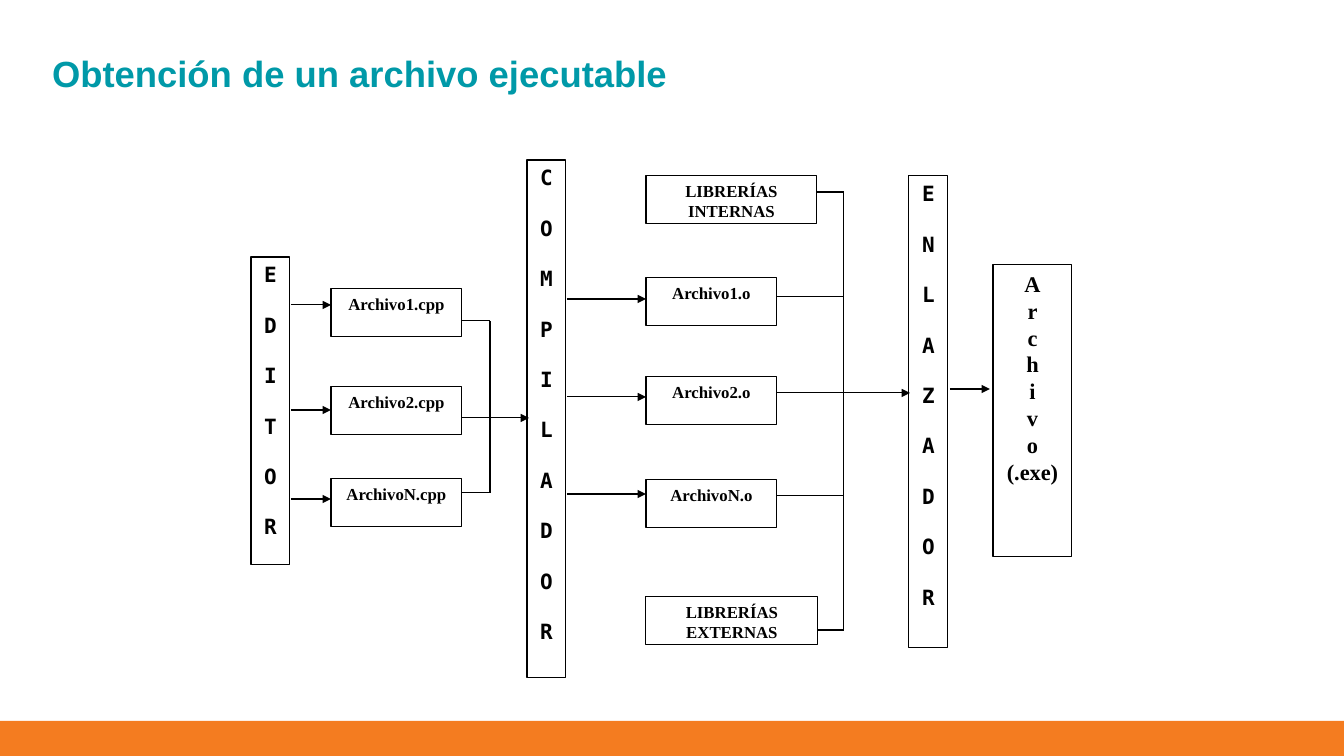
from pptx import Presentation
from pptx.dml.color import RGBColor
from pptx.enum.shapes import MSO_CONNECTOR, MSO_SHAPE
from pptx.enum.text import MSO_ANCHOR, PP_ALIGN
from pptx.oxml.ns import qn
from pptx.util import Emu, Pt
from lxml import etree

PX = 914400 / 100.8
RECT, STRAIGHT = MSO_SHAPE.RECTANGLE, MSO_CONNECTOR.STRAIGHT
CENTER, LEFT = PP_ALIGN.CENTER, PP_ALIGN.LEFT
TOP, MIDDLE = MSO_ANCHOR.TOP, MSO_ANCHOR.MIDDLE
TITLE_ONLY = 5

COLORS = {"ink": "000000", "paper": "FFFFFF", "title": "0099A8", "band": "F47C20"}
FONTS = {
    "title": {"name": "Arial", "size": Pt(26), "bold": True},
    "stage": {"name": "DejaVu Sans Mono", "size": Pt(15), "bold": True},
    "file": {"name": "Times New Roman", "size": Pt(12), "bold": True},
    "result": {"name": "Times New Roman", "size": Pt(16), "bold": True},
}
LINE_WIDTH = Pt(0.75)
LETTER_GAP = Pt(18)

# label, box width, box top, incoming arrow y, outgoing line y
SOURCES = [
    ("Archivo1.cpp", 131, 0, 16, 32),
    ("Archivo2.cpp", 131, 98, 121, 129),
    ("ArchivoN.cpp", 131, 190, 210, 204),
]
OBJECTS = [
    ("LIBRERÍAS INTERNAS", 171, 0, None, 16),
    ("Archivo1.o", 131, 102, 123, 121),
    ("Archivo2.o", 131, 201, 221, 217),
    ("ArchivoN.o", 131, 304, 318, 320),
    ("LIBRERÍAS EXTERNAS", 172, 421, None, 454),
]


def px(n):
    return Emu(round(n * PX))


def rgb(name):
    return RGBColor.from_string(COLORS[name])


def format_font(font, style, color):
    for key, value in FONTS[style].items():
        setattr(font, key, value)
    font.color.rgb = rgb(color)


def add_rect(s, box, fill):
    sp = s.shapes.add_shape(RECT, *map(px, box))
    sp.shadow.inherit = False
    sp.fill.solid()
    sp.fill.fore_color.rgb = rgb(fill)
    sp.line.fill.background()
    return sp


def add_box(s, box, lines, style, gap=0):
    """Outlined box with one centred paragraph per line."""
    sp = add_rect(s, box, "paper")
    sp.line.color.rgb = rgb("ink")
    sp.line.width = LINE_WIDTH
    tf = sp.text_frame
    tf.word_wrap = True
    tf.vertical_anchor = TOP
    for i, line in enumerate(lines):
        p = tf.paragraphs[0] if i == 0 else tf.add_paragraph()
        p.alignment = CENTER
        if i and gap:
            p.space_before = gap
        r = p.add_run()
        r.text = line
        format_font(r.font, style, "ink")


def add_line(s, x1, y1, x2, y2, arrow=False):
    c = s.shapes.add_connector(STRAIGHT, px(x1), px(y1), px(x2), px(y2))
    c.line.color.rgb = rgb("ink")
    c.line.width = LINE_WIDTH
    if arrow:
        etree.SubElement(c.line._get_or_add_ln(), qn("a:tailEnd"), type="triangle")
    etree.SubElement(c._element.spPr, qn("a:effectLst"))


def add_title(s, box, text):
    sp = s.shapes.title
    sp.left, sp.top, sp.width, sp.height = map(px, box)
    tf = sp.text_frame
    tf.word_wrap = True
    tf.vertical_anchor = MIDDLE
    p = tf.paragraphs[0]
    p.alignment = LEFT
    r = p.add_run()
    r.text = text
    format_font(r.font, "title", "title")


def add_stage(s, box, word):
    """Tall box with the word spelled downwards."""
    add_box(s, box, word, "stage", LETTER_GAP)


def add_files(s, box, rows, indent, bus):
    """Files between two stages, joined by a bus whose middle row leads on."""
    x, y, w, h = box
    bus_x = x + bus
    for i, (label, width, top, y_in, y_out) in enumerate(rows):
        left = x + indent
        add_box(s, (left, y + top, width, 48), [label], "file")
        if y_in is not None:
            add_line(s, x, y + y_in, left, y + y_in, arrow=True)
        middle = i == len(rows) // 2
        end = x + w if middle else bus_x
        add_line(s, left + width, y + y_out, end, y + y_out, arrow=middle)
    add_line(s, bus_x, y + rows[0][-1], bus_x, y + rows[-1][-1])


def add_result(s, box):
    x, y, w, h = box
    add_line(s, x, y + 124, x + 40, y + 124, arrow=True)
    add_box(s, (x + 43, y, w - 43, h), [*"Archiv", "o (.exe)"], "result")


def main():
    prs = Presentation()
    prs.slide_width, prs.slide_height = px(1344), px(756)
    s = prs.slides.add_slide(prs.slide_layouts[TITLE_ONLY])
    add_rect(s, (0, 721, 1344, 35), "band")
    add_title(s, (42, 46, 747, 54), "Obtención de un archivo ejecutable")
    add_stage(s, (251, 257, 39, 308), "EDITOR")
    add_stage(s, (527, 160, 39, 518), "COMPILADOR")
    add_stage(s, (909, 176, 39, 472), "ENLAZADOR")
    add_files(s, (291, 289, 238, 238), SOURCES, indent=40, bus=199)
    add_files(s, (567, 176, 343, 470), OBJECTS, indent=79, bus=277)
    add_result(s, (950, 265, 122, 292))
    prs.save("out.pptx")


if __name__ == "__main__":
    main()
